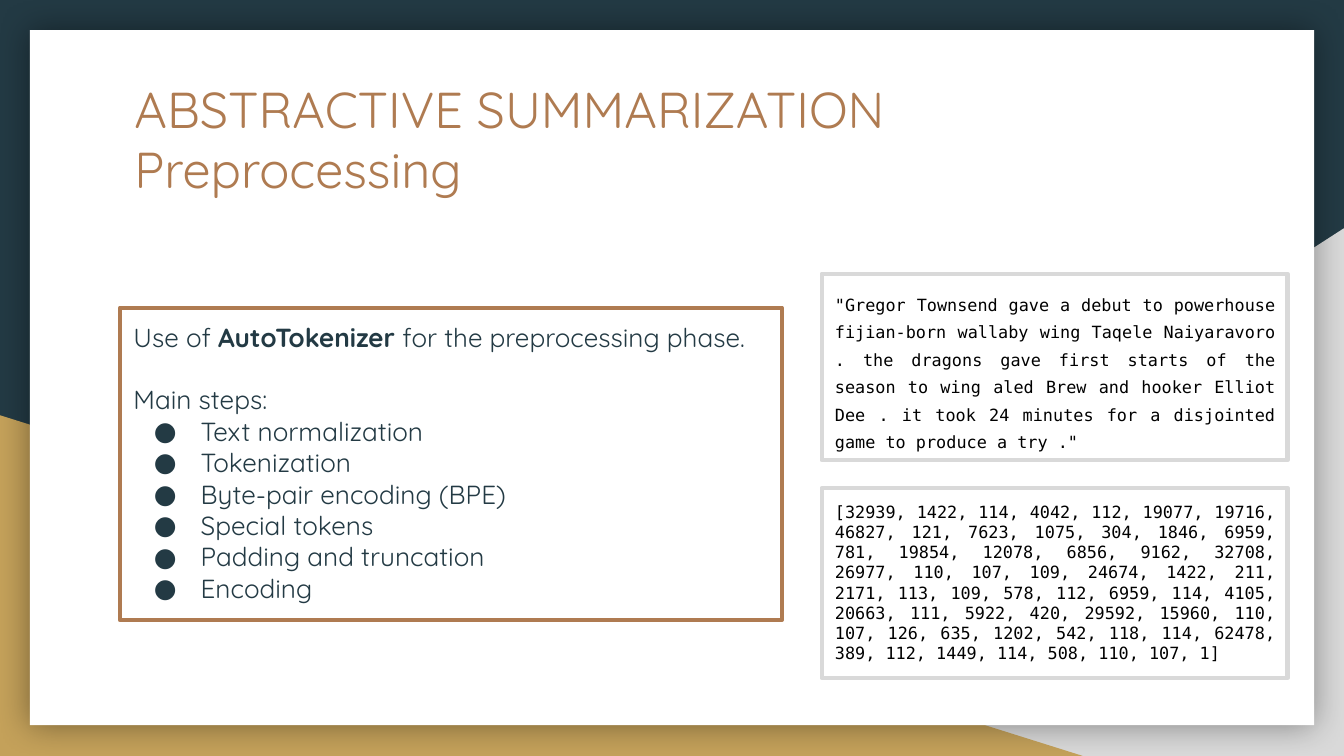
from dataclasses import dataclass
from typing import Optional

from lxml import etree
from pptx import Presentation
from pptx.dml.color import RGBColor
from pptx.enum import shapes, text
from pptx.oxml import ns
from pptx.util import Pt


@dataclass(frozen=True)
class Theme:
    navy: str = "233A44"
    gold: str = "C4A15A"
    copper: str = "AF7B51"
    grey: str = "D9D9D9"
    white: str = "FFFFFF"
    black: str = "000000"
    sans: str = "Quicksand"
    mono: str = "DejaVu Sans Mono"
    title_size: float = 27
    body_size: float = 14
    code_size: float = 9
    border: float = 2.25
    inset: float = 7.2


@dataclass(frozen=True)
class Box:
    left: float
    top: float
    width: float
    height: float


@dataclass(frozen=True)
class Decor:
    kind: shapes.MSO_SHAPE
    box: Box
    fill: str
    flipped: bool = False
    shadow: bool = False


@dataclass(frozen=True)
class CodeBox:
    box: Box
    words: str
    spacing: float


T = Theme()
TITLE_BOX = Box(64.8, 34.5, 504, 75)
STEPS_BOX = Box(64.3, 164.8, 354.5, 167.4)

DECOR = [
    Decor(shapes.MSO_SHAPE.RIGHT_TRIANGLE, Box(282, 122.3, 438, 282.7), T.grey, flipped=True),
    Decor(shapes.MSO_SHAPE.RIGHT_TRIANGLE, Box(0, 222.5, 580, 182.5), T.gold),
    Decor(shapes.MSO_SHAPE.RECTANGLE, Box(16, 16.2, 688, 372.3), T.white, shadow=True),
]

TITLE = ["ABSTRACTIVE SUMMARIZATION", "Preprocessing"]
INTRO = [("Use of ", False), ("AutoTokenizer", True), (" for the preprocessing phase.", False)]
STEPS = [
    "Text normalization",
    "Tokenization",
    "Byte-pair encoding (BPE)",
    "Special tokens",
    "Padding and truncation",
    "Encoding",
]

CODE_BOXES = [
    CodeBox(
        Box(440.2, 146.7, 249.6, 99.9),
        '"Gregor Townsend gave a debut to powerhouse fijian-born wallaby wing '
        "Taqele Naiyaravoro . the dragons gave first starts of the season to wing "
        "aled Brew and hooker Elliot Dee . it took 24 minutes for a disjointed "
        'game to produce a try ."',
        1.36,
    ),
    CodeBox(
        Box(440.2, 261.4, 249.6, 101.8),
        "[32939, 1422, 114, 4042, 112, 19077, 19716, 46827, 121, 7623, 1075, 304, "
        "1846, 6959, 781, 19854, 12078, 6856, 9162, 32708, 26977, 110, 107, 109, "
        "24674, 1422, 211, 2171, 113, 109, 578, 112, 6959, 114, 4105, 20663, 111, "
        "5922, 420, 29592, 15960, 110, 107, 126, 635, 1202, 542, 118, 114, 62478, "
        "389, 112, 1449, 114, 508, 110, 107, 1]",
        1.0,
    ),
]


def rgb(color: str) -> RGBColor:
    return RGBColor.from_string(color)


def place(sp, box: Box) -> None:
    sp.left, sp.top = Pt(box.left), Pt(box.top)
    sp.width, sp.height = Pt(box.width), Pt(box.height)


def paint(sp, fill: str, line: Optional[str] = None) -> None:
    sp.fill.solid()
    sp.fill.fore_color.rgb = rgb(fill)
    if line is None:
        sp.line.fill.background()
    else:
        sp.line.color.rgb = rgb(line)
        sp.line.width = Pt(T.border)


def add_shape(s, kind: shapes.MSO_SHAPE, box: Box):
    sp = s.shapes.add_shape(kind, Pt(box.left), Pt(box.top), Pt(box.width), Pt(box.height))
    sp.shadow.inherit = False
    return sp


def add_glow_shadow(sp) -> None:
    effects = sp.element.spPr.find(ns.qn("a:effectLst"))
    shadow = etree.SubElement(effects, ns.qn("a:outerShdw"), blurRad=str(Pt(18)), dist="0", dir="0")
    color = etree.SubElement(shadow, ns.qn("a:srgbClr"), val=T.black)
    etree.SubElement(color, ns.qn("a:alpha"), val="40000")


def add_decor(s, decor: Decor) -> None:
    sp = add_shape(s, decor.kind, decor.box)
    paint(sp, decor.fill)
    if decor.flipped:
        sp.element.spPr.get_or_add_xfrm().set("flipH", "1")
    if decor.shadow:
        add_glow_shadow(sp)


def prepare_frame(tf) -> None:
    tf.word_wrap = True
    tf.auto_size = text.MSO_AUTO_SIZE.NONE
    tf.vertical_anchor = text.MSO_ANCHOR.TOP
    tf.margin_left = tf.margin_right = tf.margin_top = tf.margin_bottom = Pt(T.inset)


def format_paragraph(p, font: str, size: float, color: str, align: text.PP_ALIGN, spacing: float = 1.0) -> None:
    p.alignment = align
    p.line_spacing = spacing
    p.space_before = p.space_after = Pt(0)
    for r in p.runs:
        r.font.name = font
        r.font.size = Pt(size)
        r.font.color.rgb = rgb(color)


def set_bullet(p, bulleted: bool) -> None:
    pPr = p._p.get_or_add_pPr()
    pPr.set("marL", str(Pt(36 if bulleted else 0)))
    pPr.set("indent", str(Pt(-25 if bulleted else 0)))
    if bulleted:
        color = etree.SubElement(pPr, ns.qn("a:buClr"))
        etree.SubElement(color, ns.qn("a:srgbClr"), val=T.navy)
        etree.SubElement(pPr, ns.qn("a:buFont"), typeface=T.sans)
        etree.SubElement(pPr, ns.qn("a:buChar"), char="●")
    else:
        etree.SubElement(pPr, ns.qn("a:buNone"))


def fill_title(sp) -> None:
    place(sp, TITLE_BOX)
    prepare_frame(sp.text_frame)
    sp.text_frame.text = "\n".join(TITLE)
    for p in sp.text_frame.paragraphs:
        format_paragraph(p, T.sans, T.title_size, T.copper, text.PP_ALIGN.LEFT)


def fill_steps(sp) -> None:
    place(sp, STEPS_BOX)
    paint(sp, T.white, T.copper)
    tf = sp.text_frame
    prepare_frame(tf)
    tf.text = "\n".join(["", "Main steps:", *STEPS])
    intro = tf.paragraphs[0]
    for words, bold in INTRO:
        r = intro.add_run()
        r.text = words
        r.font.bold = bold
    for i, p in enumerate(tf.paragraphs):
        format_paragraph(p, T.sans, T.body_size, T.navy, text.PP_ALIGN.JUSTIFY)
        set_bullet(p, bulleted=i > 1)
    intro.space_after = Pt(16.8)


def add_code_box(s, code: CodeBox) -> None:
    sp = add_shape(s, shapes.MSO_SHAPE.RECTANGLE, code.box)
    paint(sp, T.white, T.grey)
    prepare_frame(sp.text_frame)
    sp.text_frame.text = code.words
    format_paragraph(sp.text_frame.paragraphs[0], T.mono, T.code_size, T.black,
                     text.PP_ALIGN.JUSTIFY, code.spacing)


def main() -> None:
    prs = Presentation()
    prs.slide_width, prs.slide_height = Pt(720), Pt(405)
    s = prs.slides.add_slide(prs.slide_layouts[1])
    s.background.fill.solid()
    s.background.fill.fore_color.rgb = rgb(T.navy)
    title, steps = s.placeholders
    for decor in DECOR:
        add_decor(s, decor)
    for sp in (title, steps):
        sp.element.getparent().append(sp.element)
    fill_title(title)
    fill_steps(steps)
    for code in CODE_BOXES:
        add_code_box(s, code)
    prs.save("out.pptx")


if __name__ == "__main__":
    main()
